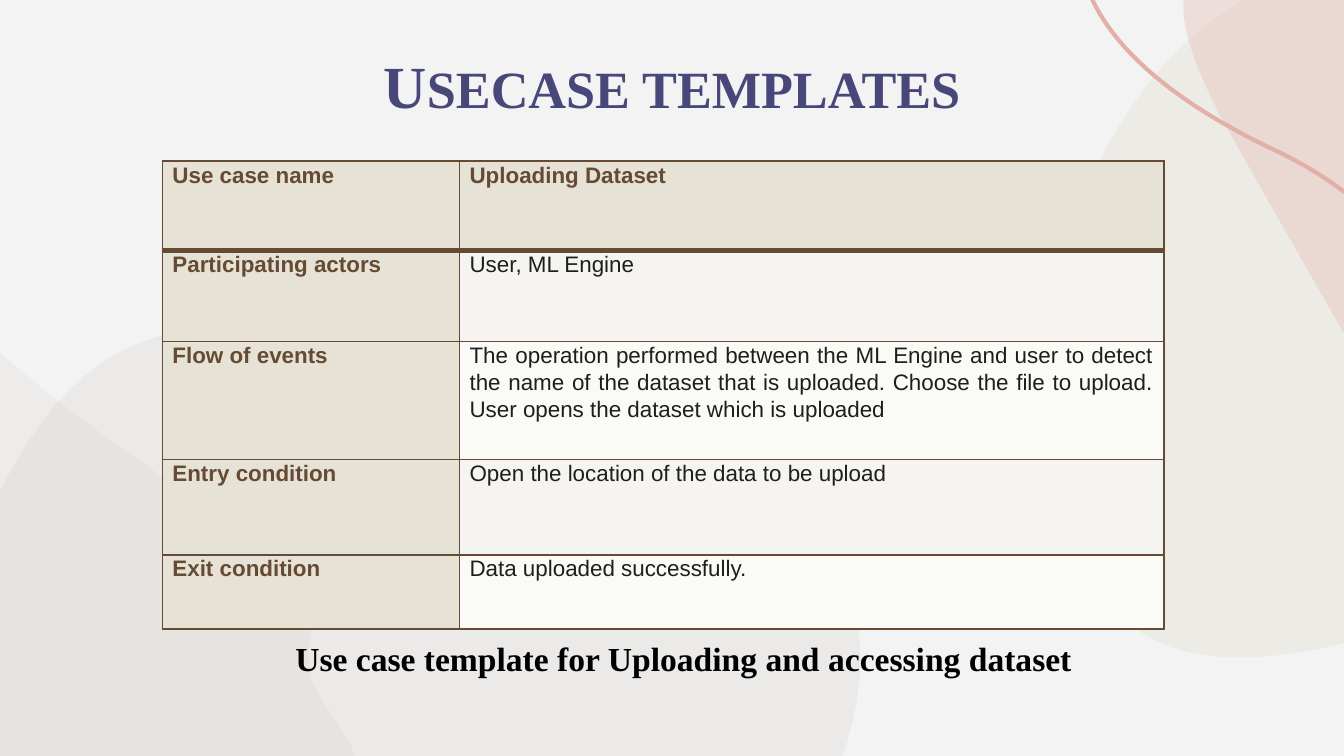
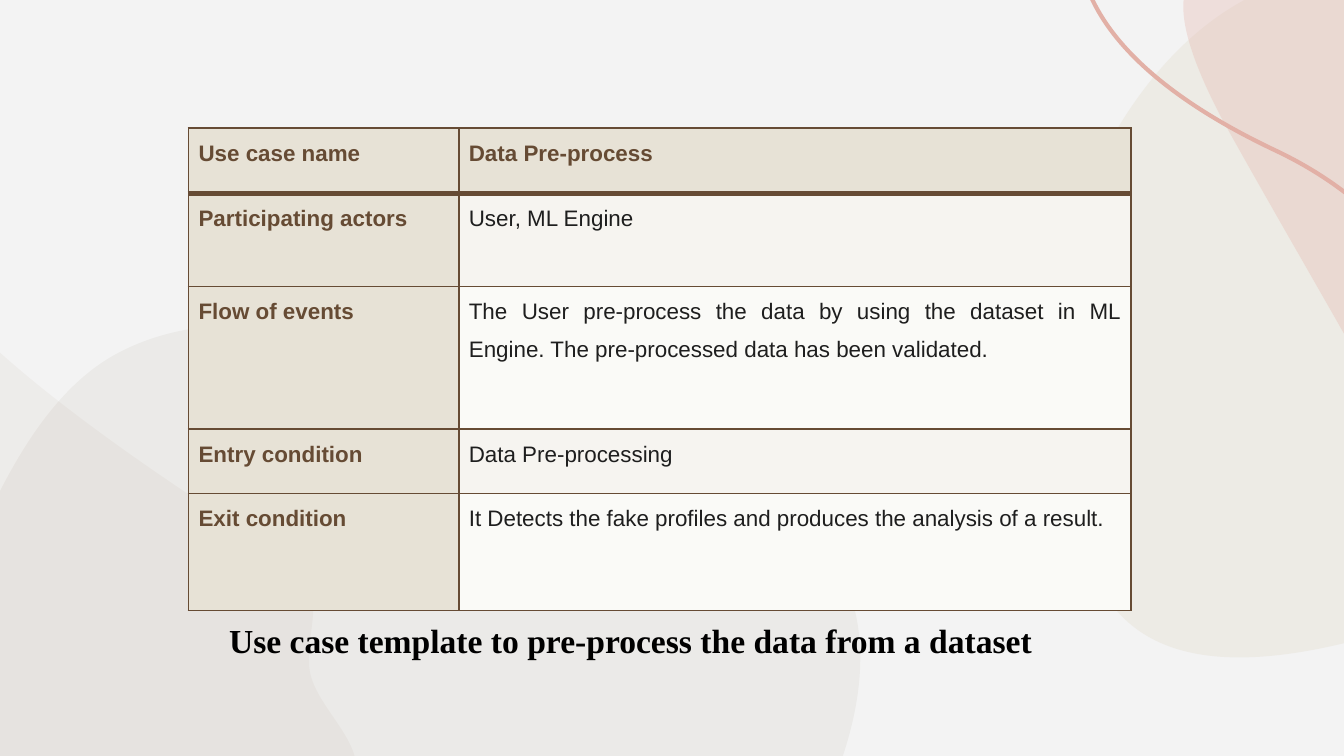
from lxml.etree import SubElement
from pptx import Presentation
from pptx.dml.color import RGBColor
from pptx.enum.text import MSO_ANCHOR as Anchor, PP_ALIGN as Align
from pptx.oxml.ns import qn
from pptx.util import Pt

# Shared colours and fonts
PAPER, SAND, BROWN, INK = "F3F3F3", "E7E2D6", "664B34", "1E1E1E"
NAVY, BLACK = "474779", "000000"
ROW_TINTS = ("FAFAF7", "F6F4F0")
SERIF, SANS = "Times New Roman", "Arial"

LABELS = ("Use case name", "Participating actors", "Flow of events",
          "Entry condition", "Exit condition")

# Background curves: start point, then three points per Bézier segment,
# in hundredths of an inch (0.72 pt)
UNIT = Pt(0.72)
BLOBS = [
    ("887C62", 7, [
        (364, 269), (256, 244), (155, 223), (82, 266),
        (0, 315), (-40, 460), (-92, 609), (0, 980), (500, 1050), (618, 587),
        (643, 527), (655, 455), (609, 401), (548, 328), (454, 291),
        (364, 269)]),
    ("AC9078", 7, [
        (-56, 196), (-420, 60), (-420, 800), (9, 674),
        (114, 711), (267, 634), (265, 570), (264, 545), (230, 520), (230, 494),
        (228, 460), (250, 436), (199, 406), (-48, 250), (-56, 196),
        (-56, 196)]),
    (SAND, 46, [
        (938, -6), (968, -19), (1003, -26), (1043, -20),
        (1440, 30), (1700, 300), (1313, 364), (1233, 372), (899, 585),
        (819, 437), (738, 288), (799, 165), (799, 165), (799, 165), (838, 39),
        (938, -6)]),
    ("E6B8AF", 34, [
        (1035, 7), (1010, -40), (960, -47), (901, -26),
        (863, -14), (885, 42), (909, 88), (960, 180), (1020, 280), (1076, 386),
        (1130, 430), (1230, 350), (1166, 257), (1120, 180), (1080, 90),
        (1035, 7)]),
]
RIBBON = [(1406, 518), (1406, 518), (1218, 506), (1159, 455), (1090, 394),
          (1135, 200), (949, 112), (763, 24), (767, -86), (888, -172)]


def rgb(code):
    return RGBColor.from_string(code)


def add_span(para, text, size, color, font, bold=True):
    span = para.add_run()
    span.text = text
    span.font.size = Pt(size)
    span.font.name = font
    span.font.bold = bold
    span.font.color.rgb = rgb(color)


# Background
def add_curve(page, points, closed):
    builder = page.shapes.build_freeform(*points[0], scale=UNIT)
    builder.add_line_segments(points[1:], close=closed)
    shape = builder.convert_to_shape()
    shape.shadow.inherit = False
    # Gather every three straight steps into one Bézier segment
    steps = list(shape.element.iter(qn("a:lnTo")))
    # Closing may add a step back to the start, which is not needed
    for first in range(0, len(points) - 1, 3):
        bezier = steps[first].makeelement(qn("a:cubicBezTo"))
        steps[first].addprevious(bezier)
        for step in steps[first:first + 3]:
            bezier.append(step[0])
            step.getparent().remove(step)
    return shape


def add_blob(page, color, opacity, points):
    blob = add_curve(page, points, True)
    blob.fill.solid()
    blob.fill.fore_color.rgb = rgb(color)
    tint = next(blob.element.spPr.iter(qn("a:srgbClr")))
    SubElement(tint, qn("a:alpha")).set("val", str(opacity * 1000))
    blob.line.fill.background()
    return blob


def add_ribbon(page):
    ribbon = add_curve(page, RIBBON, False)
    ribbon.fill.background()
    ribbon.line.color.rgb = rgb("E2B0A6")
    ribbon.line.width = Pt(2.25)
    return ribbon


def dress_master(master, page):
    """Draw the curves on a page, then move them to the master."""
    master.background.fill.solid()
    master.background.fill.fore_color.rgb = rgb(PAPER)
    curves = [add_blob(page, *blob) for blob in BLOBS] + [add_ribbon(page)]
    for index, curve in enumerate(curves):
        curve.element.nvSpPr.cNvPr.id = 101 + index
        master.shapes.element.insert(2 + index, curve.element)


# Title and caption
def set_title(page, initial, rest):
    title = page.shapes.title
    title.left, title.top, title.width, title.height = (
        Pt(57), Pt(13.5), Pt(606), Pt(64))
    frame = title.text_frame
    frame.vertical_anchor = Anchor.MIDDLE
    frame.margin_left = frame.margin_right = Pt(7.2)
    frame.margin_top = frame.margin_bottom = Pt(7.2)
    para = frame.paragraphs[0]
    para.alignment = Align.CENTER
    add_span(para, initial, 32, NAVY, SERIF)
    add_span(para, rest, 28, NAVY, SERIF)


def add_caption(page, text, left, top, width, height, inset):
    box = page.shapes.add_textbox(Pt(left), Pt(top), Pt(width), Pt(height))
    frame = box.text_frame
    frame.word_wrap = True
    frame.vertical_anchor = Anchor.BOTTOM
    frame.margin_left, frame.margin_right = Pt(inset), Pt(7.2)
    frame.margin_top, frame.margin_bottom = Pt(7.2), Pt(21.6)
    add_span(frame.paragraphs[0], text, 18, BLACK, SERIF)


# Use case table
def set_borders(cell, top, bottom):
    props = cell._tc.get_or_add_tcPr()
    for side, weight in zip("LRTB", (1, 1, top, bottom)):
        line = SubElement(props, qn(f"a:ln{side}"), w=str(Pt(weight)))
        fill = SubElement(line, qn("a:solidFill"))
        SubElement(fill, qn("a:srgbClr"), val=BROWN)


def fill_cell(cell, text, row, heading, spacing):
    set_borders(cell, 3 if row == 1 else 1, 3 if row == 0 else 1)
    cell.fill.solid()
    cell.fill.fore_color.rgb = rgb(SAND if heading else ROW_TINTS[row % 2])
    cell.margin_left = cell.margin_right = Pt(5.4)
    cell.margin_top = cell.margin_bottom = Pt(0)
    cell.vertical_anchor = Anchor.TOP
    para = cell.text_frame.paragraphs[0]
    para.alignment = Align.JUSTIFY
    para.line_spacing = spacing
    para.space_after = Pt(6)
    add_span(para, text, 12, BROWN if heading else INK, SANS, heading)


def add_use_case(page, left, top, widths, heights, spacing, details):
    table = page.shapes.add_table(
        len(heights), len(widths), Pt(left), Pt(top),
        Pt(sum(widths)), Pt(sum(heights))).table
    table.horz_banding = False
    for column, width in zip(table.columns, widths):
        column.width = Pt(width)
    for row, (height, pair) in enumerate(zip(heights, zip(LABELS, details))):
        table.rows[row].height = Pt(height)
        for col, text in enumerate(pair):
            heading = row == 0 or col == 0
            fill_cell(table.cell(row, col), text, row, heading, spacing)


def main():
    deck = Presentation()
    deck.slide_width, deck.slide_height = Pt(720), Pt(405)
    title_only, blank = deck.slide_layouts[5], deck.slide_layouts[6]

    # Slide 1: uploading
    page = deck.slides.add_slide(title_only)
    dress_master(deck.slide_master, page)
    set_title(page, "U", "SECASE TEMPLATES")
    add_caption(page, "Use case template for Uploading and accessing dataset",
                87, 73.5, 536.5, 308, 71.2)
    add_use_case(page, 87, 86.4, (159.2, 377.3),
                 (48, 48.5, 63.4, 51, 39.8), 1.07, (
                     "Uploading Dataset",
                     "User, ML Engine",
                     "The operation performed between the ML Engine and user "
                     "to detect the name of the dataset that is uploaded. "
                     "Choose the file to upload. User opens the dataset which "
                     "is uploaded",
                     "Open the location of the data to be upload",
                     "Data uploaded successfully."))

    # Slide 2: pre-processing
    page = deck.slides.add_slide(blank)
    add_caption(page,
                "Use case template to pre-process the data from a dataset",
                101, 68.5, 527, 303, 21.7)
    add_use_case(page, 101, 68.7, (144.8, 360.2),
                 (35.2, 49.7, 76.4, 34.4, 62.7), 1.5, (
                     "Data Pre-process",
                     "User, ML Engine",
                     "The User pre-process the data by using the dataset in ML "
                     "Engine. The pre-processed data has been validated.",
                     "Data Pre-processing",
                     "It Detects the fake profiles and produces the analysis "
                     "of a result."))

    deck.save("out.pptx")


if __name__ == "__main__":
    main()
